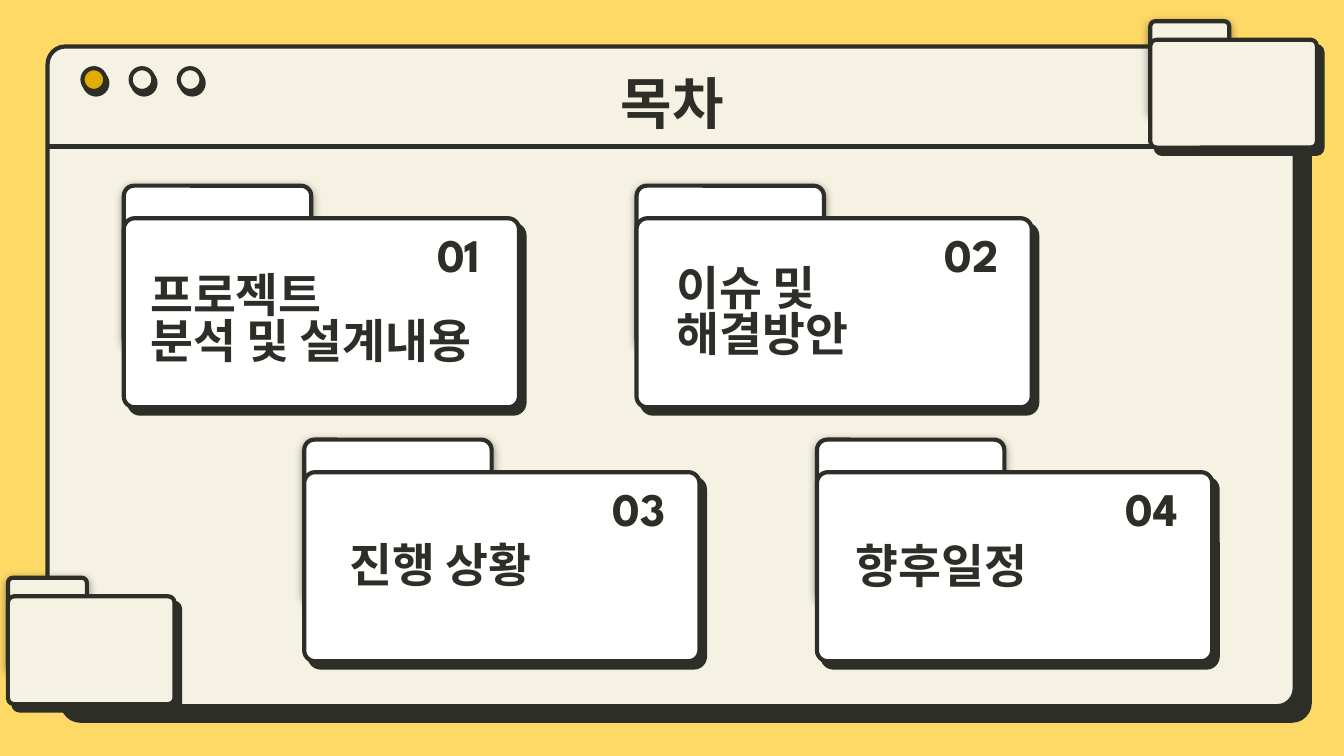
from lxml import etree
from pptx import Presentation
from pptx.dml.color import RGBColor
from pptx.enum.shapes import MSO_CONNECTOR, MSO_SHAPE
from pptx.enum.text import MSO_ANCHOR, MSO_AUTO_SIZE, PP_ALIGN
from pptx.oxml.ns import qn
from pptx.util import Cm, Pt

ROUND, OVAL = MSO_SHAPE.ROUNDED_RECTANGLE, MSO_SHAPE.OVAL
STRAIGHT = MSO_CONNECTOR.STRAIGHT
MIDDLE, BOTTOM = MSO_ANCHOR.MIDDLE, MSO_ANCHOR.BOTTOM
LEFT, CENTER = PP_ALIGN.LEFT, PP_ALIGN.CENTER
FIXED = MSO_AUTO_SIZE.NONE
INK, CREAM, WHITE, GOLD, YELLOW = "2D2E27", "F6F2E3", "FFFFFF", "E4AB00", "FFD966"
KOREAN, LATIN = "Noto Sans CJK KR", "League Spartan"
SOFT = (50, 4.5, 1.5, 90)
HARD = (100, 0, 4.5, 49)
TOPICS = [
    ("프로젝트 \v분석 및 설계내용", 0.25, 1.83, 6.71),
    ("이슈 및 해결방안", 0.51, 1.7, 6.4),
    ("진행 상황", 0.61, 1.7, 6.4),
    ("향후일정", 0.48, 1.73, 6.4),
]


def color(code):
    """Turn a hex string into a colour."""
    return RGBColor.from_string(code)


def shade(shape, alpha, blur, dist, angle):
    """Give a shape an ink shadow, from percent, points and degrees."""
    shape.shadow.inherit = False
    effects = shape._element.spPr.find(qn("a:effectLst"))
    outer = etree.SubElement(effects, qn("a:outerShdw"), {
        "blurRad": str(Pt(blur)), "dist": str(Pt(dist)),
        "dir": str(angle * 60000), "algn": "bl", "rotWithShape": "0"})
    tint = etree.SubElement(outer, qn("a:srgbClr"), val=INK)
    etree.SubElement(tint, qn("a:alpha"), val=str(alpha * 1000))


def stroke(shape):
    """Draw the ink outline."""
    shape.line.color.rgb = color(INK)
    shape.line.width = Pt(2.25)


def panel(slide, kind, box, fill, shadow, adj=None):
    """Add an outlined shape with a shadow."""
    shape = slide.shapes.add_shape(kind, *map(Cm, box))
    shape.fill.solid()
    shape.fill.fore_color.rgb = color(fill)
    stroke(shape)
    shade(shape, *shadow)
    if adj is not None:
        shape.adjustments[0] = adj


def write(shape, text, size, face, align, anchor=MIDDLE):
    """Put bold ink text into a shape."""
    frame = shape.text_frame
    inset = Cm(0.25)
    look = {"word_wrap": True, "auto_size": FIXED, "vertical_anchor": anchor,
            "margin_left": inset, "margin_right": inset,
            "margin_top": inset, "margin_bottom": inset}
    for name, value in look.items():
        setattr(frame, name, value)
    frame.text = text
    para = frame.paragraphs[0]
    para.alignment = align
    para.line_spacing = 0.83
    for run in para.runs:
        for name, value in {"size": Pt(size), "bold": True, "name": face}.items():
            setattr(run.font, name, value)
        run.font.color.rgb = color(INK)
        etree.SubElement(run.font._element, qn("a:ea"), typeface=face)


def label(slide, box, text, face, align):
    """Add a text box."""
    write(slide.shapes.add_textbox(*map(Cm, box)), text, 25, face, align)


def window(slide, x, y, w, h):
    """Draw the window with its bar, buttons and title."""
    panel(slide, ROUND, (x, y, w, h), CREAM, (100, 0, 11.2, 44), 0.027)
    rule = slide.shapes.add_connector(
        STRAIGHT, Cm(x), Cm(y + 1.89), Cm(x + w), Cm(y + 1.89))
    stroke(rule)
    etree.SubElement(rule._element.spPr, qn("a:effectLst"))
    for i, fill in enumerate((GOLD, CREAM, CREAM)):
        box = (x + 0.66 + 0.91 * i, y + 0.41, 0.43, 0.43)
        panel(slide, OVAL, box, fill, (100, 0, 2.2, 60))
    title = slide.shapes.title
    spots = {"left": x + 1.11, "top": y + 0.58, "width": w - 2.17, "height": 1.35}
    for name, value in spots.items():
        setattr(title, name, Cm(value))
    write(title, "목차", 30, KOREAN, CENTER, BOTTOM)
    slide.shapes._spTree.append(title._element)


def folder(slide, x, y, w, h, fill):
    """Draw a folder: a tab behind a body."""
    drop = 0.147 * h
    panel(slide, ROUND, (x, y, 0.474 * w, 0.73 * h), fill, SOFT, 0.063)
    panel(slide, ROUND, (x, y + drop, w, h - drop), fill, HARD, 0.058)


def topic(slide, x, y, w, h, number, entry):
    """Draw a folder with its number and heading."""
    text, dx, dy, wide = entry
    folder(slide, x, y, w, h, WHITE)
    label(slide, (x + dx, y + dy, wide, 1.47), text, KOREAN, LEFT)
    label(slide, (x + w - 2.03, y + 0.89, 1.78, 0.97), f"{number:02}", LATIN, CENTER)


def main():
    """Build the contents slide."""
    deck = Presentation()
    deck.slide_width, deck.slide_height = Cm(25.4), Cm(14.29)
    slide = deck.slides.add_slide(deck.slide_layouts[5])
    slide.background.fill.solid()
    slide.background.fill.fore_color.rgb = color(YELLOW)
    window(slide, 0.9, 0.88, 23.57, 12.47)
    for x, y in ((21.74, 0.4), (0.15, 10.92)):
        folder(slide, x, y, 3.15, 2.39, CREAM)
    for i, entry in enumerate(TOPICS):
        row, col = divmod(i, 2)
        x, y = 2.34 + 9.69 * col + 3.41 * row, 3.51 + 4.8 * row
        topic(slide, x, y, 7.47, 4.19, i + 1, entry)
    deck.save("out.pptx")


if __name__ == "__main__":
    main()
